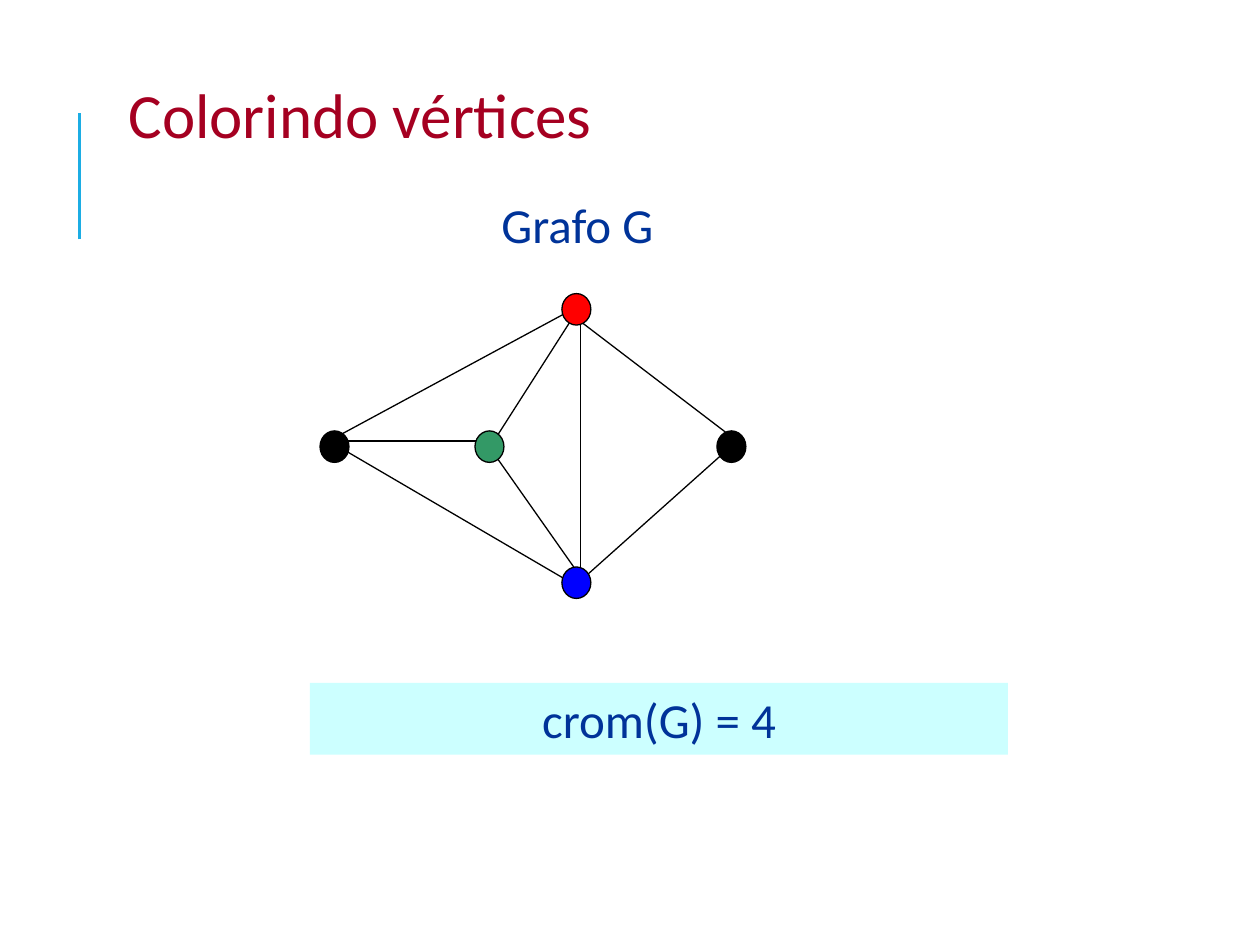
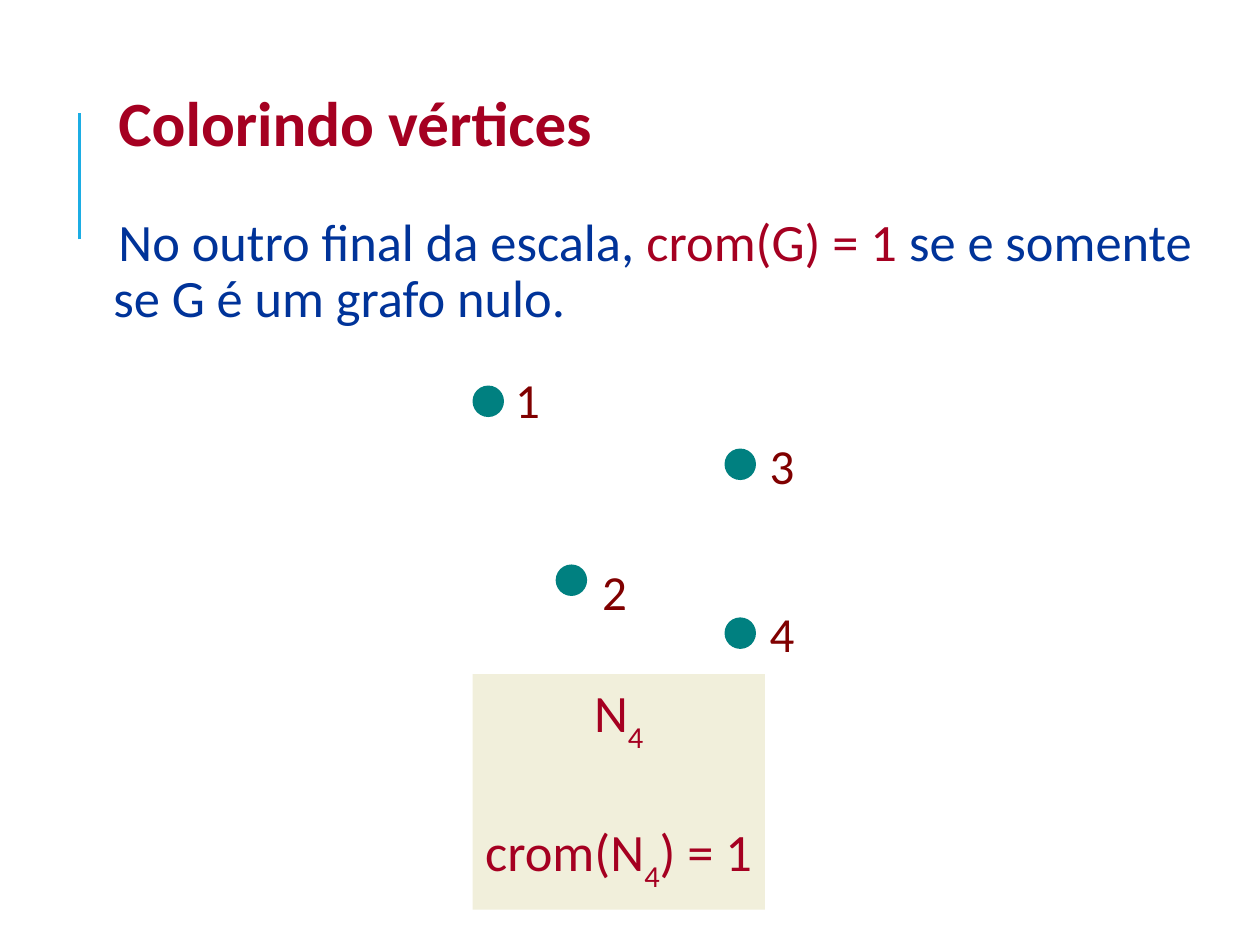
from lxml.etree import SubElement
from pptx import Presentation
from pptx.dml.color import RGBColor
from pptx.enum.shapes import MSO_CONNECTOR, MSO_SHAPE
from pptx.enum.text import MSO_ANCHOR, PP_ALIGN
from pptx.oxml.ns import qn
from pptx.util import Pt

EMU_PER_PX = 9144
FONT = "Calibri"
CRIMSON = RGBColor(0xA5, 0x00, 0x21)
NAVY = RGBColor(0x00, 0x33, 0x99)
MAROON = RGBColor(0x80, 0x00, 0x00)
SKY = RGBColor(0x1C, 0xAD, 0xE4)
TEAL = RGBColor(0x00, 0x80, 0x80)
CYAN = RGBColor(0xCC, 0xFF, 0xFF)
CREAM = RGBColor(0xF1, 0xEF, 0xDB)
BLACK = RGBColor(0x00, 0x00, 0x00)
GREEN = RGBColor(0x33, 0x99, 0x66)
RED = RGBColor(0xFF, 0x00, 0x00)
BLUE = RGBColor(0x00, 0x00, 0xFF)


def px(length):
    """Turn pixels into EMU."""
    return length * EMU_PER_PX


def add_run(paragraph, text, size, color, bold=False, subscript=False):
    """Append one styled run."""
    run = paragraph.add_run()
    run.text = text
    run.font.name = FONT
    run.font.size = Pt(size)
    run.font.color.rgb = color
    run.font.bold = bold
    if subscript:
        run.font._element.set("baseline", "-30000")


def set_frame(shape, side=10, wrap=True):
    """Set margins, wrapping and top anchor, and return the text frame."""
    frame = shape.text_frame
    frame.margin_left = frame.margin_right = px(side)
    frame.margin_top = frame.margin_bottom = px(5)
    frame.vertical_anchor = MSO_ANCHOR.TOP
    frame.word_wrap = wrap
    return frame


def add_line(slide, start, end, color, width):
    """Draw a straight line between two points without a shadow."""
    line = slide.shapes.add_connector(
        MSO_CONNECTOR.STRAIGHT, *(px(value) for value in (*start, *end)))
    line.line.color.rgb = color
    line.line.width = Pt(width)
    SubElement(line._element.spPr, qn("a:effectLst"))


def add_filled(slide, kind, box, fill, outline=None):
    """Add a filled preset shape, outlined only when a colour is given."""
    shape = slide.shapes.add_shape(kind, *(px(value) for value in box))
    shape.shadow.inherit = False
    shape.fill.solid()
    shape.fill.fore_color.rgb = fill
    if outline is None:
        shape.line.fill.background()
    else:
        shape.line.color.rgb = outline
        shape.line.width = Pt(0.75)
    return shape


def add_heading(slide, box, spacing, bold, body_runs, body_size, body_gap, body_indent):
    """Add the side bar and the box that holds the title and its body text."""
    add_line(slide, (63, 190), (63, 90), SKY, 1.5)
    frame = set_frame(slide.shapes.add_textbox(*(px(value) for value in box)), side=5)
    title, body = frame.paragraphs[0], frame.add_paragraph()
    for paragraph, left in ((title, 10), (body, body_indent)):
        properties = paragraph._p.get_or_add_pPr()
        properties.set("marL", str(px(left)))
        properties.set("indent", str(px(4)))
        paragraph.line_spacing = spacing
        paragraph.space_after = Pt(2)
    body.space_before = Pt(body_gap)
    add_run(title, "Colorindo vértices", 36, CRIMSON, bold)
    for text, color in body_runs:
        add_run(body, text, body_size, color)


def add_formula_box(slide, box, fill, size, color, lines, gap=0, wrap=True):
    """Add a filled rectangle with centred formulas, given as (text, subscript) runs."""
    frame = set_frame(add_filled(slide, MSO_SHAPE.RECTANGLE, box, fill), wrap=wrap)
    for index, runs in enumerate(lines):
        paragraph = frame.add_paragraph() if index else frame.paragraphs[0]
        paragraph.alignment = PP_ALIGN.CENTER
        paragraph.space_before = Pt(gap if index else 0)
        for text, subscript in runs:
            add_run(paragraph, text, size, color, subscript=subscript)


def add_colored_graph(slide, left, top):
    """Draw the edges and then the coloured vertices of graph G."""
    edges = [
        ((7, 117), (131, 117)), ((7, 117), (207, 9)), ((7, 117), (207, 234)),
        ((138, 117), (207, 9)), ((131, 117), (207, 225)), ((207, 225), (207, 17)),
        ((200, 17), (331, 117)), ((200, 234), (331, 117)),
    ]
    vertices = [
        (0, 109, BLACK), (123, 109, GREEN), (192, 0, RED),
        (192, 217, BLUE), (315, 109, BLACK),
    ]
    for edge in edges:
        start, end = ((left + x, top + y) for x, y in edge)
        add_line(slide, start, end, BLACK, 0.75)
    for x, y, color in vertices:
        add_filled(slide, MSO_SHAPE.FLOWCHART_CONNECTOR,
                   (left + x, top + y, 23, 25), color, BLACK)


def add_null_graph(slide, left, top):
    """Draw the four isolated vertices and their number labels."""
    vertices = [
        ("1", (0, 18), (24, 0)), ("2", (66, 160), (93, 153)),
        ("3", (200, 68), (226, 53)), ("4", (200, 202), (226, 186)),
    ]
    for number, (dot_x, dot_y), (label_x, label_y) in vertices:
        add_filled(slide, MSO_SHAPE.FLOWCHART_CONNECTOR,
                   (left + dot_x, top + dot_y, 25, 25), TEAL)
        label = slide.shapes.add_textbox(
            px(left + label_x), px(top + label_y), px(39), px(57))
        add_run(set_frame(label, wrap=False).paragraphs[0], number, 28, MAROON)


def build_graph_slide(slide):
    """Build the slide with graph G and its chromatic number."""
    add_heading(slide, (83, 67, 902, 158), 0.8, False,
                [("Grafo G", NAVY)], 28, 29, 306)
    add_colored_graph(slide, 254, 233)
    add_formula_box(slide, (246, 542, 554, 57), CYAN, 28, NAVY,
                    [[("crom(G) = 4", False)]])


def build_null_graph_slide(slide):
    """Build the slide with the null graph."""
    body = [("No outro final da escala, ", NAVY), ("crom(G) = 1", CRIMSON),
            (" se e somente se G é um grafo nulo.", NAVY)]
    add_heading(slide, (75, 68, 910, 221), 0.9, True, body, 30, 30, 10)
    formulas = [[("N", False), ("4", True)],
                [("crom(N", False), ("4", True), (") = 1", False)]]
    add_formula_box(slide, (375, 535, 232, 187), CREAM, 30, CRIMSON,
                    formulas, gap=37, wrap=False)
    add_null_graph(slide, 375, 288)


def main():
    """Create and save the presentation."""
    presentation = Presentation()
    presentation.slide_width = px(1000)
    presentation.slide_height = px(750)
    for build in (build_graph_slide, build_null_graph_slide):
        build(presentation.slides.add_slide(presentation.slide_layouts[6]))
    presentation.save("out.pptx")


if __name__ == "__main__":
    main()
